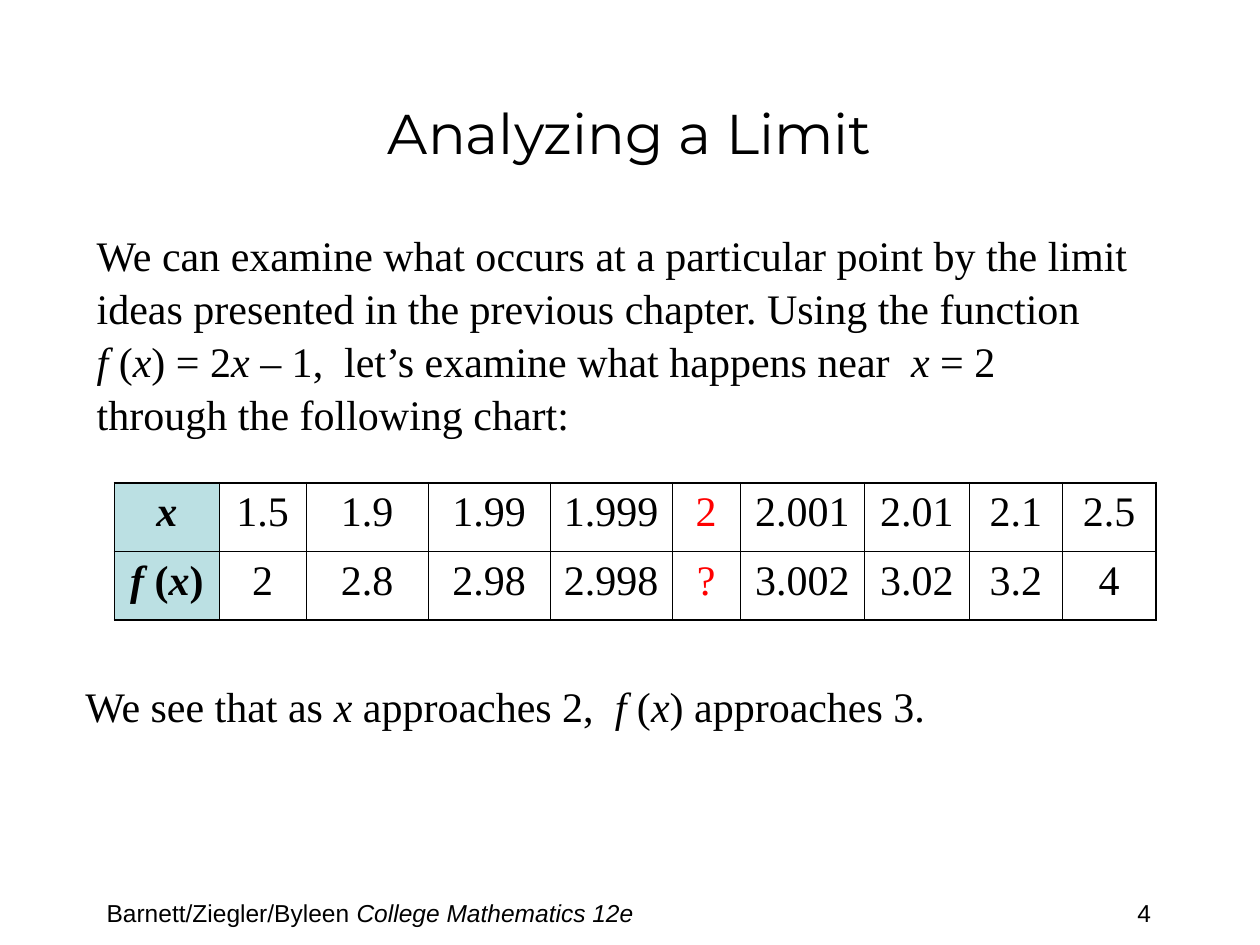
from pptx import Presentation
from pptx.dml.color import RGBColor
from pptx.enum.text import MSO_ANCHOR as Anchor, PP_ALIGN as Align
from pptx.oxml import parse_xml
from pptx.oxml.ns import nsdecls
from pptx.util import Cm, Pt

SERIF, SANS, HEADING = "Times New Roman", "Arial", "Montserrat"
BLACK, RED, HEADER_FILL = "000000", "FF0000", "BBE0E3"
THIN, THICK = Pt(0.45), Pt(1.08)

COLUMN_WIDTHS = [2.11, 1.75, 2.46, 2.46, 2.46, 1.37, 2.51, 2.11, 1.88, 1.88]
VALUES = [
    ["*x*", "1.5", "1.9", "1.99", "1.999", "2", "2.001", "2.01", "2.1", "2.5"],
    ["*f *(*x*)", "2", "2.8", "2.98", "2.998", "?", "3.002", "3.02", "3.2", "4"],
]
LIMIT_COLUMN = 5


def color(hex_string):
    return RGBColor.from_string(hex_string)


def write(paragraph, text, face, size, ink=BLACK, bold=False):
    """Fill a paragraph; parts between asterisks are italic."""
    for i, part in enumerate(text.split("*")):
        for j, line in enumerate(part.split("\n")):
            if j:
                paragraph.add_line_break()
            if line:
                run = paragraph.add_run()
                run.text = line
                if i % 2:
                    run.font.italic = True
    font = paragraph.font
    font.name, font.size, font.bold = face, Pt(size), bold
    font.color.rgb = color(ink)


def add_text(slide, box, text, face, size, spacing=1.0, wrap=True):
    frame = slide.shapes.add_textbox(*map(Cm, box)).text_frame
    frame.word_wrap = wrap
    paragraph = frame.paragraphs[0]
    paragraph.line_spacing = spacing
    write(paragraph, text, face, size)


def add_title(slide, box, text):
    title = slide.shapes.title
    title.left, title.top, title.width, title.height = map(Cm, box)
    title.text_frame.vertical_anchor = Anchor.MIDDLE
    heading = title.text_frame.paragraphs[0]
    heading.alignment = Align.CENTER
    write(heading, text, HEADING, 32)


def set_borders(cell, **widths):
    for side in "LRTB":
        cell._tc.get_or_add_tcPr().append(parse_xml(
            f'<a:ln{side} {nsdecls("a")} w="{int(widths[side])}"><a:solidFill>'
            f'<a:srgbClr val="{BLACK}"/></a:solidFill></a:ln{side}>'))


def add_value_table(slide, box):
    last_row, last_column = len(VALUES) - 1, len(COLUMN_WIDTHS) - 1
    table = slide.shapes.add_table(
        last_row + 1, last_column + 1, *map(Cm, box)).table
    table.first_row = table.horz_banding = False
    for column, width in zip(table.columns, COLUMN_WIDTHS):
        column.width = Cm(width)

    for r, row_values in enumerate(VALUES):
        for c, value in enumerate(row_values):
            cell = table.cell(r, c)
            # Heavy outer frame, fine inner grid
            set_borders(cell,
                        L=THICK if c == 0 else THIN,
                        R=THICK if c == last_column else THIN,
                        T=THICK if r == 0 else THIN,
                        B=THICK if r == last_row else THIN)
            if c == 0:
                cell.fill.solid()
                cell.fill.fore_color.rgb = color(HEADER_FILL)
            else:
                cell.fill.background()
            paragraph = cell.text_frame.paragraphs[0]
            paragraph.alignment = Align.CENTER
            write(paragraph, value, SERIF, 24,
                  ink=RED if c == LIMIT_COLUMN else BLACK, bold=c == 0)


def add_footer(slide, left, top):
    add_text(slide, (left, top, 14.8, 0.64),
             "Barnett/Ziegler/Byleen *College Mathematics 12e*", SANS, 14)
    add_text(slide, (left + 20.78, top, 2.77, 0.86), "4", SANS, 14, wrap=False)


def main():
    deck = Presentation()
    deck.slide_width, deck.slide_height = Cm(25.4), Cm(19.05)
    slide = deck.slides.add_slide(deck.slide_layouts[5])

    add_title(slide, (1.9, 1.07, 21.6, 3.18), "Analyzing a Limit")

    # Introduction, table of values, conclusion
    add_text(slide, (1.7, 4.45, 21.39, 4.32),
             "We can examine what occurs at a particular point by the limit "
             "ideas presented in the previous chapter. Using the function\n"
             "*f *(*x*) = 2*x* – 1,  let’s examine what happens near  *x* = 2  "
             "through the following chart:", SERIF, 24, spacing=1.05)
    add_value_table(slide, (2.31, 9.73, 20.99, 2.77))
    add_text(slide, (1.47, 13.54, 21.59, 1.27),
             "We see that as *x* approaches 2,  *f* (*x*) approaches 3.",
             SERIF, 24, spacing=1.05)

    add_footer(slide, 1.9, 17.98)
    deck.save("out.pptx")


if __name__ == "__main__":
    main()
